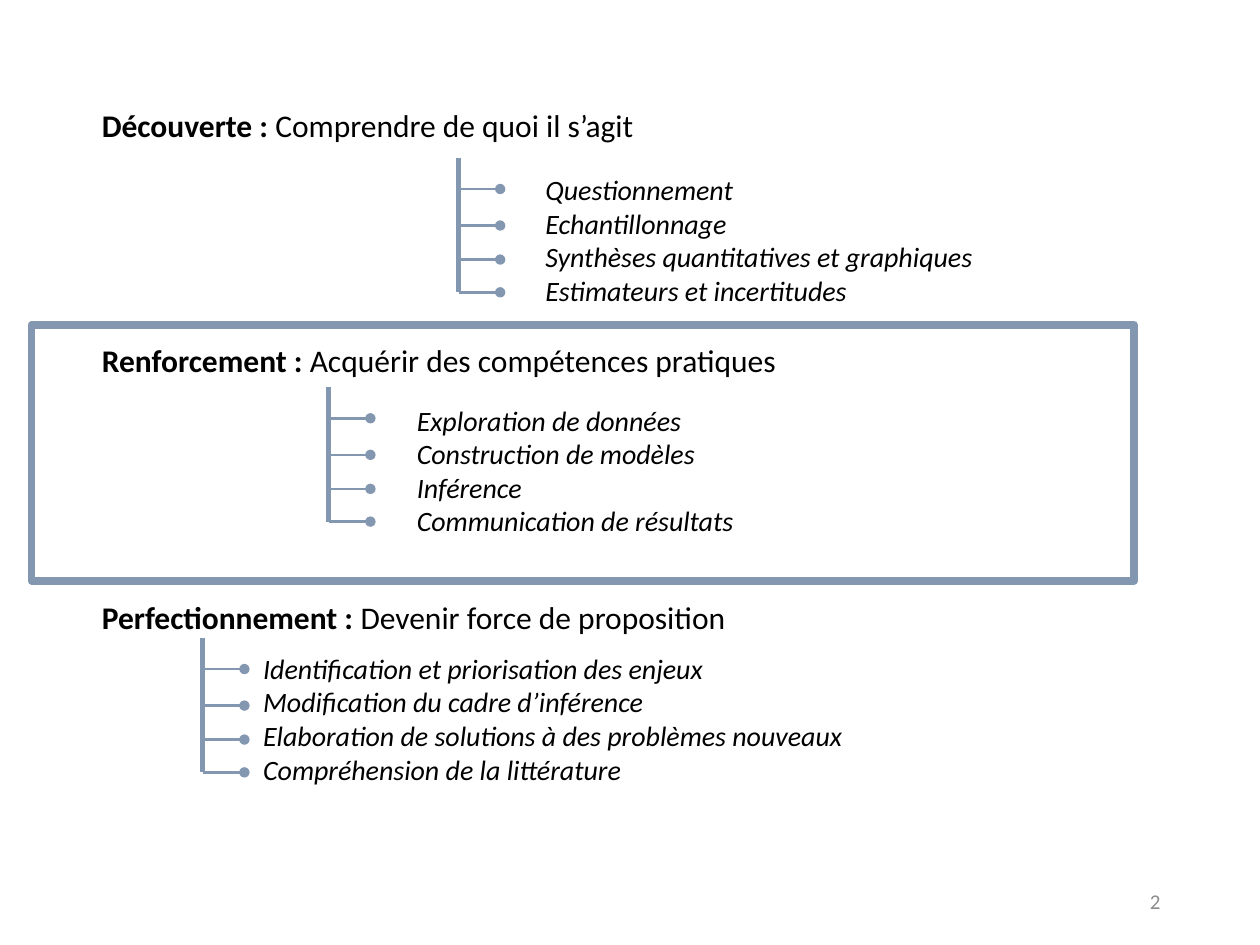
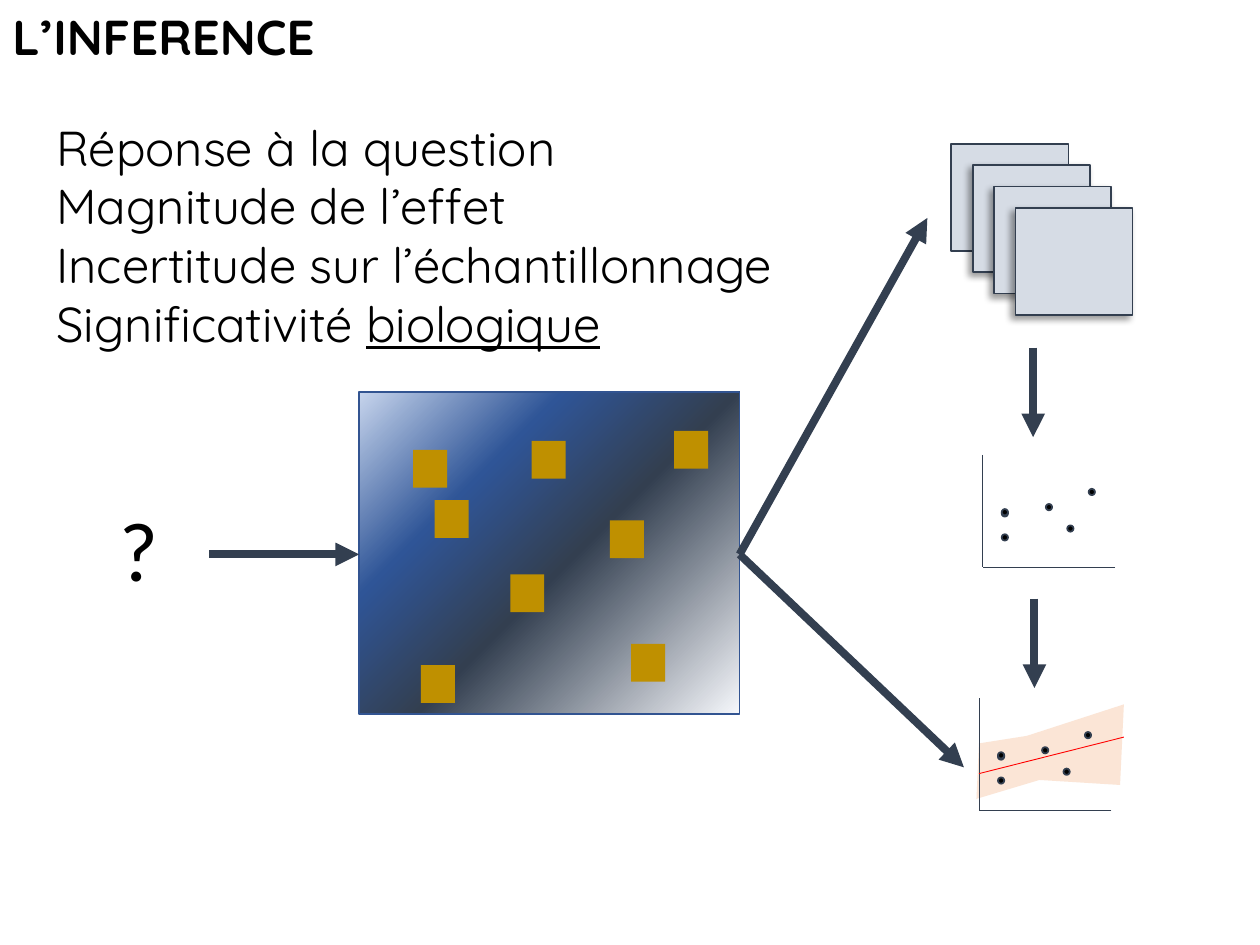
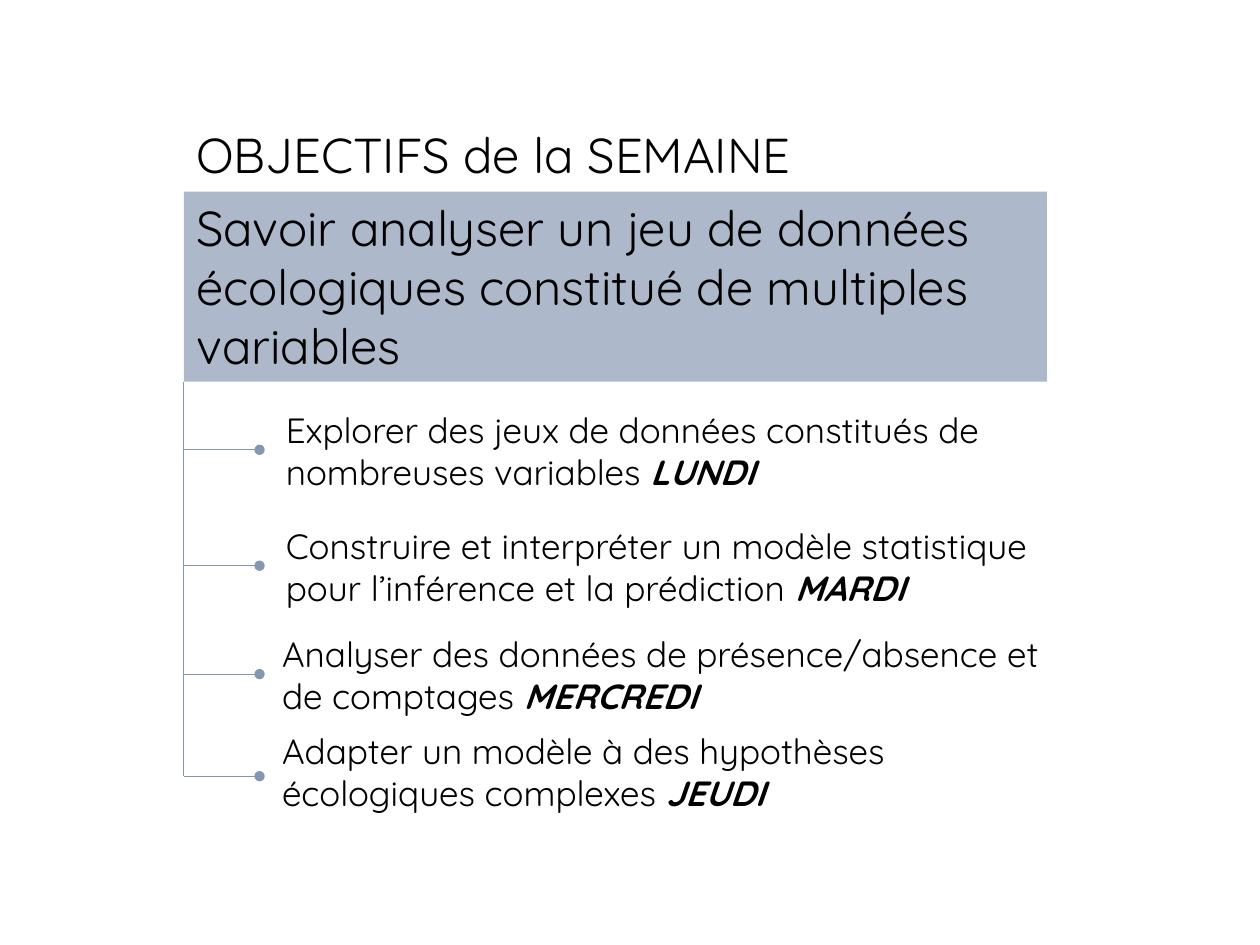
from typing import NamedTuple

from lxml.etree import SubElement
from pptx import Presentation
from pptx.dml.color import RGBColor
from pptx.enum.shapes import MSO_CONNECTOR as Connector, MSO_SHAPE as Preset
from pptx.enum.text import MSO_ANCHOR as Anchor, MSO_AUTO_SIZE as AutoSize, PP_ALIGN as Align
from pptx.oxml.ns import qn
from pptx.util import Inches, Pt

# Shared look
BLACK, GREY = "000000", "8C8C8C"
STEEL, PALE_STEEL, SLATE, CARD = "8497B0", "ADB9CA", "333F50", "D6DCE5"
GOLD, PEACH, RED, FIELD_EDGE = "BF9000", "FBE5D6", "FF0000", "325491"
FIELD_STOPS = [(0, "C7D5ED"), (29, "2F5597"), (54, SLATE), (100, "F6F8FC")]
CALIBRI, QUICKSAND = "Calibri", "Quicksand"


class Box(NamedTuple):
    left: float
    top: float
    width: float
    height: float


class Point(NamedTuple):
    x: float
    y: float


class Run(NamedTuple):
    text: str
    bold: bool = False
    italic: bool = False
    underline: bool = False


class Style(NamedTuple):
    font: str
    size: float
    color: str = BLACK


class Tree(NamedTuple):
    """A vertical stem with dotted branches to its right."""
    x: float
    top: float
    branch_drops: list[float]
    branch_length: float
    stem_weight: float
    branch_weight: float


class Stage(NamedTuple):
    name: str
    aim: str
    heading: Box
    items: list[str]
    item_box: Box
    stem: Point


class Objective(NamedTuple):
    task: str
    day: str
    box: Box


HEADING, ITEM = Style(CALIBRI, 18), Style(CALIBRI, 16)
TITLE, TASK = Style(QUICKSAND, 28), Style(QUICKSAND, 20)
PAGE_NUMBER, QUESTION = Style(CALIBRI, 12, GREY), Style(CALIBRI, 48)


def rgb(color: str) -> RGBColor:
    return RGBColor.from_string(color)


def lengths(values) -> list:
    return [Inches(value) for value in values]


# Drawing helpers
def fill_text(shape, paragraphs: list[list[Run]], style: Style, grow: bool = True,
              align=Align.LEFT, anchor=Anchor.TOP) -> None:
    frame = shape.text_frame
    frame.word_wrap = True
    frame.auto_size = AutoSize.SHAPE_TO_FIT_TEXT if grow else AutoSize.NONE
    frame.vertical_anchor = anchor
    for index, runs in enumerate(paragraphs):
        paragraph = frame.add_paragraph() if index else frame.paragraphs[0]
        paragraph.alignment = align
        for part in runs:
            run = paragraph.add_run()
            run.text = part.text
            font = run.font
            font.name, font.size = style.font, Pt(style.size)
            font.color.rgb = rgb(style.color)
            font.bold, font.italic, font.underline = part.bold, part.italic, part.underline


def add_text(slide, box: Box, paragraphs: list[list[Run]], style: Style, **layout) -> None:
    fill_text(slide.shapes.add_textbox(*lengths(box)), paragraphs, style, **layout)


def paint(shape, fill: str | None, edge: str | None = None, weight: float = 1) -> None:
    shape.shadow.inherit = False
    if fill:
        shape.fill.solid()
        shape.fill.fore_color.rgb = rgb(fill)
    else:
        shape.fill.background()
    if edge:
        shape.line.color.rgb = rgb(edge)
        shape.line.width = Pt(weight)
    else:
        shape.line.fill.background()


def add_preset(slide, box: Box, fill: str | None, edge: str | None = None,
               weight: float = 1, preset=Preset.RECTANGLE):
    shape = slide.shapes.add_shape(preset, *lengths(box))
    paint(shape, fill, edge, weight)
    return shape


def add_line(slide, start: Point, end: Point, color: str, weight: float,
             tip: str | None = None) -> None:
    line = slide.shapes.add_connector(Connector.STRAIGHT, *lengths((*start, *end)))
    line.line.color.rgb = rgb(color)
    line.line.width = Pt(weight)
    if tip:
        SubElement(line.line._get_or_add_ln(), qn("a:tailEnd"), type=tip)
    SubElement(line._element.spPr, qn("a:effectLst"))


def add_arrow(slide, start: Point, end: Point) -> None:
    add_line(slide, start, end, SLATE, 4.5, "triangle")


def add_tree(slide, tree: Tree) -> None:
    bottom = tree.top + tree.branch_drops[-1]
    add_line(slide, Point(tree.x, tree.top), Point(tree.x, bottom), STEEL, tree.stem_weight)
    for drop in tree.branch_drops:
        y = tree.top + drop
        add_line(slide, Point(tree.x, y), Point(tree.x + tree.branch_length, y),
                 STEEL, tree.branch_weight, "oval")


def add_drop_shadow(shape) -> None:
    effects = shape._element.spPr.find(qn("a:effectLst"))
    shadow = SubElement(effects, qn("a:outerShdw"), blurRad=str(Pt(4)), dist=str(Pt(3)),
                        dir=str(135 * 60000), algn="tr", rotWithShape="0")
    color = SubElement(shadow, qn("a:srgbClr"), val=BLACK)
    SubElement(color, qn("a:alpha"), val="40000")


def paint_gradient(shape, stops: list[tuple[int, str]]) -> None:
    shape.fill.gradient()
    shape.fill.gradient_angle = 315
    stop_list = shape._element.spPr.find(f".//{qn('a:gsLst')}")
    for stop in list(stop_list):
        stop_list.remove(stop)
    for percent, color in stops:
        stop = SubElement(stop_list, qn("a:gs"), pos=str(percent * 1000))
        SubElement(stop, qn("a:srgbClr"), val=color)


def add_scatter_plot(slide, top_left: Point) -> None:
    x, y = top_left
    corner = Point(x, y + 0.89)
    add_line(slide, top_left, corner, SLATE, 0.5)
    add_line(slide, Point(x + 1.05, corner.y), corner, SLATE, 0.5)
    for dx, dy in [(0.5, 0.39), (0.67, 0.56), (0.84, 0.27),
                   (0.15, 0.44), (0.15, 0.63), (0.15, 0.43)]:
        add_preset(slide, Box(x + dx, y + dy, 0.05, 0.05), BLACK, SLATE, preset=Preset.OVAL)


# Slide 1: the three learning stages
STAGES = [
    Stage("Découverte :", " Comprendre de quoi il s’agit", Box(0.71, 0.79, 6.94, 0.4),
          ["Questionnement", "Echantillonnage", "Synthèses quantitatives et graphiques",
           "Estimateurs et incertitudes"],
          Box(4.23, 1.32, 5.42, 1.18), Point(3.64, 1.25)),
    Stage("Renforcement :", " Acquérir des compétences pratiques", Box(0.71, 2.66, 7.34, 0.4),
          ["Exploration de données", "Construction de modèles", "Inférence",
           "Communication de résultats"],
          Box(3.21, 3.15, 5.42, 1.18), Point(2.61, 3.07)),
    Stage("Perfectionnement :", " Devenir force de proposition", Box(0.71, 4.7, 8.06, 0.4),
          ["Identification et priorisation des enjeux", "Modification du cadre d’inférence",
           "Elaboration de solutions à des problèmes nouveaux",
           "Compréhension de la littérature"],
          Box(1.99, 5.12, 7.45, 1.18), Point(1.61, 5.06)),
]


def build_stages(slide) -> None:
    add_text(slide, Box(7.06, 6.95, 2.25, 0.4), [[Run("2")]], PAGE_NUMBER,
             grow=False, align=Align.RIGHT, anchor=Anchor.MIDDLE)
    for stage in STAGES:
        add_text(slide, stage.heading, [[Run(stage.name, bold=True), Run(stage.aim)]], HEADING)
        add_text(slide, stage.item_box, [[Run(item, italic=True)] for item in stage.items], ITEM)
        add_tree(slide, Tree(*stage.stem, [0.25, 0.54, 0.81, 1.07], 0.33, 3, 1.5))
    add_preset(slide, Box(0.25, 2.58, 8.75, 2.03), None, STEEL, 4.5)


# Slide 2: from question to inference
CONFIDENCE_BAND = [(7.77, 5.9), (8.15, 5.84), (8.92, 5.59), (8.89, 6.23), (8.25, 6.19), (7.75, 6.34)]
QUADRATS = [(3.28, 3.57), (3.45, 3.97), (4.84, 4.13), (5.01, 5.11),
            (3.34, 5.28), (4.05, 4.56), (4.22, 3.5), (5.35, 3.42)]


def build_inference(slide) -> None:
    # Confidence band, under the lower plot
    first, *others = [lengths(corner) for corner in CONFIDENCE_BAND]
    outline = slide.shapes.build_freeform(*first)
    outline.add_line_segments(others)
    paint(outline.convert_to_shape(), PEACH)

    # Stack of sample sheets
    for index in range(4):
        offset = index * 0.17
        sheet = add_preset(slide, Box(7.55 + offset, 1.14 + offset, 0.93, 0.85), CARD, SLATE)
        if index:
            add_drop_shadow(sheet)

    # Data plot, then the same plot with its fitted line
    add_arrow(slide, Point(8.2, 2.76), Point(8.2, 3.47))
    add_scatter_plot(slide, Point(7.8, 3.61))
    add_scatter_plot(slide, Point(7.77, 5.54))
    add_line(slide, Point(7.77, 6.14), Point(8.92, 5.85), RED, 0.5)
    add_arrow(slide, Point(8.21, 4.75), Point(8.21, 5.46))

    # Question and sampled field
    add_text(slide, Box(0.85, 3.9, 0.53, 0.91), [[Run("?")]], QUESTION)
    field = add_preset(slide, Box(2.85, 3.11, 3.02, 2.56), None, FIELD_EDGE)
    paint_gradient(field, FIELD_STOPS)
    for left, top in QUADRATS:
        add_preset(slide, Box(left, top, 0.27, 0.3), GOLD)
    field_exit = Point(5.87, 4.4)
    add_arrow(slide, field_exit, Point(7.36, 1.73))
    add_arrow(slide, field_exit, Point(7.65, 6.09))
    add_arrow(slide, Point(1.66, 4.4), Point(2.85, 4.4))

    # Title and key points
    add_text(slide, Box(0, 0, 7.88, 0.57), [[Run("L’INFERENCE", bold=True)]], TITLE)
    add_text(slide, Box(0.35, 0.88, 6.54, 1.99), [
        [Run("Réponse à la question")],
        [Run("Magnitude de l’effet")],
        [Run("Incertitude sur l’échantillonnage")],
        [Run("Significativité "), Run("biologique", underline=True)],
    ], TITLE)


# Slide 3: objectives of the week
OBJECTIVES = [
    Objective("Explorer des jeux de données constitués de nombreuses variables ", "LUNDI",
              Box(2.17, 3.19, 6.64, 0.77)),
    Objective("Construire et interpréter un modèle statistique pour l’inférence et la prédiction ",
              "MARDI", Box(2.17, 4.11, 6.71, 0.77)),
    Objective("Analyser des données de présence/absence et de comptages ", "MERCREDI",
              Box(2.14, 4.97, 6.43, 0.77)),
    Objective("Adapter un modèle à des hypothèses écologiques complexes ", "JEUDI",
              Box(2.14, 5.74, 6.43, 0.77)),
]


def build_objectives(slide) -> None:
    add_text(slide, Box(1.46, 0.94, 5.04, 0.57), [[Run("OBJECTIFS de la SEMAINE")]], TITLE)
    goal = add_preset(slide, Box(1.46, 1.52, 6.85, 1.51), PALE_STEEL)
    fill_text(goal, [[Run("Savoir analyser un jeu de données écologiques constitué "
                          "de multiples variables")]], TITLE)
    add_tree(slide, Tree(1.46, 3.03, [0.54, 1.46, 2.32, 3.13], 0.6, 0.5, 0.5))
    for objective in OBJECTIVES:
        add_text(slide, objective.box,
                 [[Run(objective.task), Run(objective.day, bold=True, italic=True)]], TASK)


def main() -> None:
    deck = Presentation()
    deck.slide_width, deck.slide_height = Inches(10), Inches(7.5)
    for build in (build_stages, build_inference, build_objectives):
        build(deck.slides.add_slide(deck.slide_layouts[6]))
    deck.save("out.pptx")


if __name__ == "__main__":
    main()
